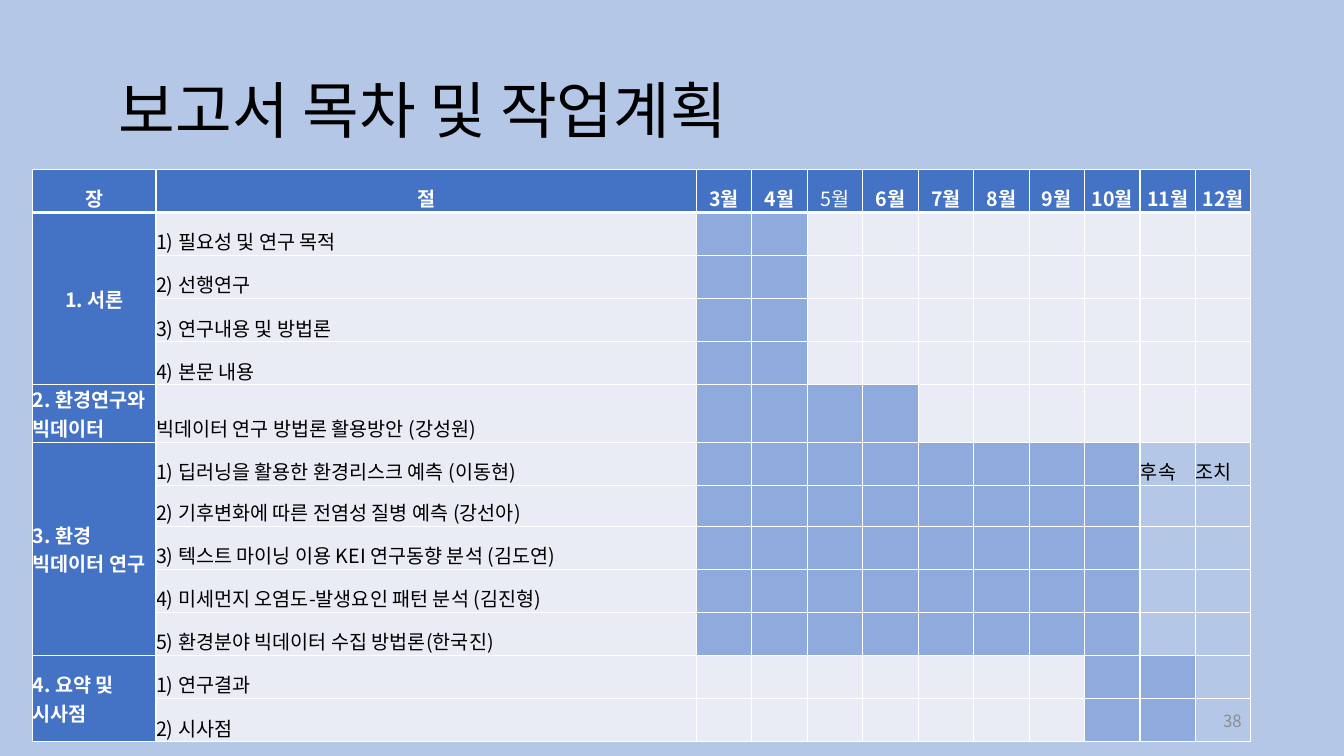
from lxml.etree import SubElement
from pptx import Presentation
from pptx.dml.color import RGBColor
from pptx.enum.text import MSO_ANCHOR as Anchor, PP_ALIGN as Align
from pptx.oxml import parse_xml
from pptx.oxml.ns import nsdecls, qn
from pptx.util import Pt

# Content: chapters hold sections as (title, work months, follow-up months)
TITLE = "보고서 목차 및 작업계획"
PAGE = "38"
MONTHS = range(3, 13)
LIGHT_MONTH = 5
FOLLOW_UP_WORDS = {(6, 11): "후속", (6, 12): "조치"}  # (row, month)
NONE = range(0)
INTRO, METHOD, STUDY, CLOSING = range(3, 5), range(3, 7), range(3, 11), range(10, 12)
LATE, LAST = range(11, 13), range(12, 13)
CHAPTERS = [
    ("1. 서론", Align.CENTER, [
        ("1) 필요성 및 연구 목적", INTRO, NONE),
        ("2) 선행연구", INTRO, NONE),
        ("3) 연구내용 및 방법론", INTRO, NONE),
        ("4) 본문 내용", INTRO, NONE)]),
    ("2. 환경연구와 빅데이터", Align.LEFT, [
        ("빅데이터 연구 방법론 활용방안 (강성원)", METHOD, NONE)]),
    ("3. 환경 빅데이터 연구", Align.LEFT, [
        ("1) 딥러닝을 활용한 환경리스크 예측 (이동현)", STUDY, LATE),
        ("2) 기후변화에 따른 전염성 질병 예측 (강선아)", STUDY, LATE),
        ("3) 텍스트 마이닝 이용 KEI 연구동향 분석 (김도연)", STUDY, LATE),
        ("4) 미세먼지 오염도-발생요인 패턴 분석 (김진형)", STUDY, LATE),
        ("5) 환경분야 빅데이터 수집 방법론(한국진)", STUDY, LATE)]),
    ("4. 요약 및 시사점", Align.LEFT, [
        ("1) 연구결과", CLOSING, LAST),
        ("2) 시사점", CLOSING, LAST)]),
]

# Style
FONT = "Noto Sans CJK KR"
SKY, NAVY, WORK, PALE = "B4C7E7", "4472C4", "8FAADC", "E9EBF5"
BLACK, WHITE, GREY = "000000", "FFFFFF", "8C8C8C"
ROW_H = 30.8
SPECIAL_HEIGHTS = {5: 41, 7: 29.2}  # row 5 holds a two-line chapter label
COLUMNS = [88.2, 386] + [39.6] * len(MONTHS)


def paint(color_format, color):
    color_format.rgb = RGBColor.from_string(color)


def write(frame, text, size, color, align=Align.LEFT, bold=False):
    paragraph = frame.paragraphs[0]
    paragraph.text = text
    paragraph.alignment = align
    font = paragraph.font
    font.size, font.bold, font.name = Pt(size), bold, FONT
    paint(font.color, color)
    defaults = paragraph._p.pPr.find(qn("a:defRPr"))
    SubElement(defaults, qn("a:ea"), typeface=FONT)


def add_label(left, top, width, height, text, size, color, align, inset=7.2):
    box = slide.shapes.add_textbox(Pt(left), Pt(top), Pt(width), Pt(height))
    frame = box.text_frame
    frame.word_wrap = True
    frame.vertical_anchor = Anchor.MIDDLE
    frame.margin_left = Pt(inset)
    write(frame, text, size, color, align)
    return frame.paragraphs[0]


def set_borders(cell, bottom):
    widths = {"lnL": 1, "lnR": 1, "lnT": 1, "lnB": bottom}
    for place, (side, width) in enumerate(widths.items()):
        cell._tc.get_or_add_tcPr().insert(place, parse_xml(
            f'<a:{side} {nsdecls("a")} w="{Pt(width)}"><a:solidFill>'
            f'<a:srgbClr val="{WHITE}"/></a:solidFill></a:{side}>'))


def fill_cell(row, column, fill, text="", color=BLACK, align=Align.LEFT,
              bold=False, anchor=Anchor.BOTTOM):
    cell = plan.cell(row, column)
    cell.margin_left = cell.margin_right = cell.margin_top = cell.margin_bottom = 0
    cell.vertical_anchor = anchor
    cell.fill.solid()
    paint(cell.fill.fore_color, fill)
    set_borders(cell, 3 if row == 0 else 1)
    write(cell.text_frame, text, 14, color, align, bold)


# Slide and title
deck = Presentation()
deck.slide_width, deck.slide_height = Pt(960), Pt(540)
slide = deck.slides.add_slide(deck.slide_layouts[6])
slide.background.fill.solid()
paint(slide.background.fill.fore_color, SKY)
heading = add_label(66, 28.75, 828, 104.4, TITLE, 44, BLACK, Align.LEFT, inset=19)
heading.line_spacing = 0.9

# Plan table
row_count = 1 + sum(len(sections) for _, _, sections in CHAPTERS)
heights = [SPECIAL_HEIGHTS.get(row, ROW_H) for row in range(row_count)]
plan = slide.shapes.add_table(row_count, len(COLUMNS), Pt(23.3), Pt(121),
                              Pt(sum(COLUMNS)), Pt(sum(heights))).table
for column, width in zip(plan.columns, COLUMNS):
    column.width = Pt(width)
for line, height in zip(plan.rows, heights):
    line.height = Pt(height)

# Header row
for column, text in enumerate(["장", "절"] + [f"{month}월" for month in MONTHS]):
    fill_cell(0, column, NAVY, text, WHITE, Align.CENTER,
              bold=text != f"{LIGHT_MONTH}월")

# Chapters, sections and month bars
row = 1
for chapter, align, sections in CHAPTERS:
    first = row
    for section, work, follow_up in sections:
        fill_cell(row, 0, NAVY, chapter if row == first else "", WHITE, align,
                  bold=True, anchor=Anchor.MIDDLE)
        fill_cell(row, 1, PALE, section)
        for column, month in enumerate(MONTHS, 2):
            fill = WORK if month in work else SKY if month in follow_up else PALE
            fill_cell(row, column, fill, FOLLOW_UP_WORDS.get((row, month), ""))
        row += 1
    if len(sections) > 1:
        plan.cell(first, 0).merge(plan.cell(row - 1, 0))

# Page number
add_label(678, 500.5, 216, 28.75, PAGE, 12, GREY, Align.RIGHT)

deck.save("out.pptx")
